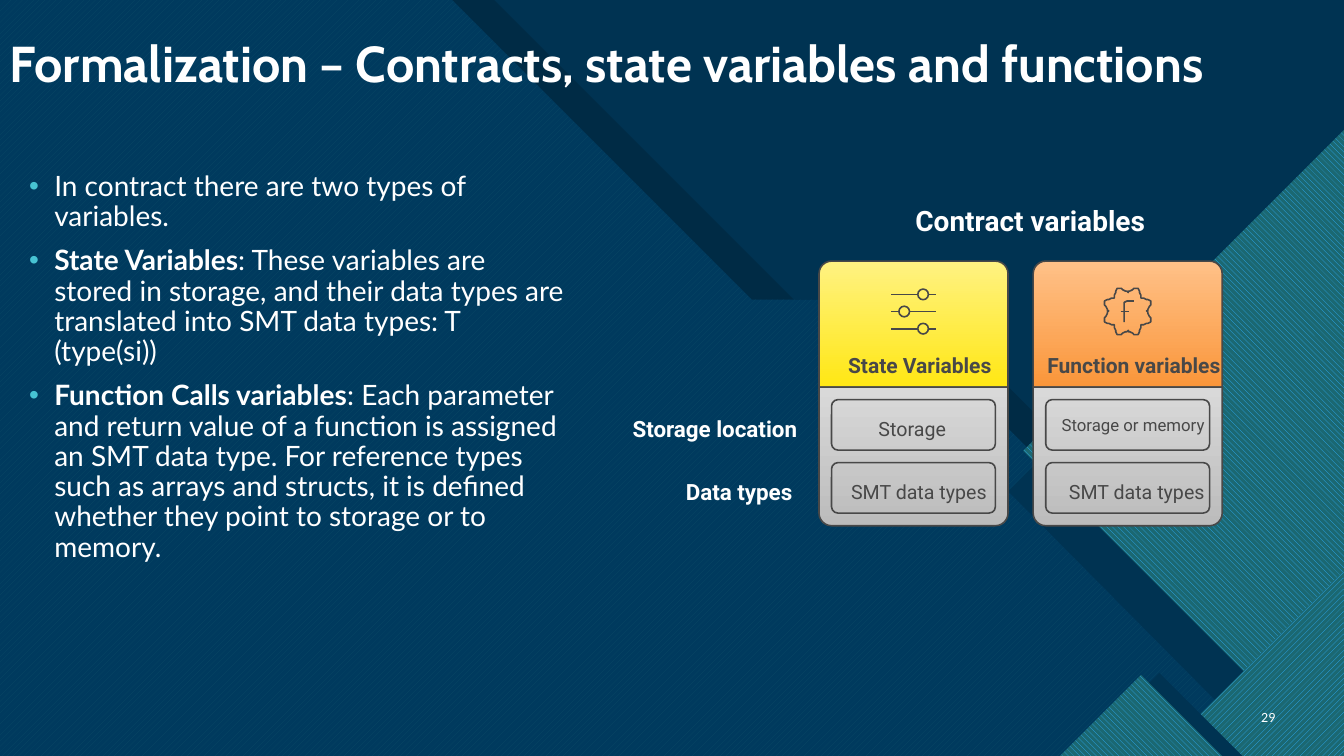
import math

import pptx
import pptx.dml.color
import pptx.enum.dml
import pptx.enum.shapes
import pptx.enum.text
import pptx.oxml
import pptx.oxml.ns
import pptx.util

Pt = pptx.util.Pt
SHAPE = pptx.enum.shapes.MSO_SHAPE
ALIGN = pptx.enum.text.PP_ALIGN
ANCHOR = pptx.enum.text.MSO_ANCHOR
PATTERN = pptx.enum.dml.MSO_PATTERN

NAVY, WHITE, INK, TEAL = "003352", "FFFFFF", "484848", "47C3D3"


def rgb(value):
    return pptx.dml.color.RGBColor.from_string(value)


def add_xml(parent, tag, **attributes):
    child = pptx.oxml.parse_xml(f"<{tag} {pptx.oxml.ns.nsdecls('a')}/>")
    for key, value in attributes.items():
        child.set(key, str(value))
    parent.append(child)
    return child


def paint(shape, fill=None, line=None, pattern=None, alpha=None, gradient=None):
    shape.shadow.inherit = False
    if pattern:
        kind, front, back = pattern
        shape.fill.patterned()
        shape.fill.pattern = kind
        shape.fill.fore_color.rgb = rgb(front)
        shape.fill.back_color.rgb = rgb(back)
    elif gradient:
        shape.fill.gradient()
        shape.fill.gradient_angle = 270
        for stop, color in zip(shape.fill.gradient_stops, gradient):
            stop.color.rgb = rgb(color)
    elif fill:
        shape.fill.solid()
        shape.fill.fore_color.rgb = rgb(fill)
        if alpha:
            color = shape.fill._xPr.find(".//" + pptx.oxml.ns.qn("a:srgbClr"))
            add_xml(color, "a:alpha", val=alpha * 1000)
    else:
        shape.fill.background()
    if line:
        shape.line.color.rgb = rgb(line)
        shape.line.width = Pt(1.12)
    else:
        shape.line.fill.background()


def add_preset(slide, kind, x, y, w, h, adjustments=(), **look):
    shape = slide.shapes.add_shape(kind, Pt(x), Pt(y), Pt(w), Pt(h))
    for index, value in enumerate(adjustments):
        shape.adjustments[index] = value
    paint(shape, **look)


def add_outline(slide, points, closed=True, **look):
    builder = slide.shapes.build_freeform(*points[0], scale=Pt(1))
    builder.add_line_segments(points[1:], close=closed)
    shape = builder.convert_to_shape()
    paint(shape, **look)
    return shape


def add_line(slide, x1, y1, x2, y2):
    line = slide.shapes.add_connector(
        pptx.enum.shapes.MSO_CONNECTOR.STRAIGHT, Pt(x1), Pt(y1), Pt(x2), Pt(y2))
    line.line.color.rgb = rgb(INK)
    line.line.width = Pt(1.12)
    add_xml(line._element.spPr, "a:effectLst")


def turn(points, degrees):
    c, s = math.cos(math.radians(degrees)), math.sin(math.radians(degrees))
    return [(x * c - y * s, x * s + y * c) for x, y in points]


def add_turned(slide, points, degrees, **look):
    flat = turn(points, -degrees)
    middle = tuple((min(axis) + max(axis)) / 2 for axis in zip(*flat))
    center = turn([middle], degrees)[0]
    dx, dy = center[0] - middle[0], center[1] - middle[1]
    shape = add_outline(slide, [(x + dx, y + dy) for x, y in flat], **look)
    shape.rotation = degrees


def add_text(slide, paragraphs, x, y, w, h, size=14, font="Roboto", color=WHITE,
             bold=False, align=ALIGN.LEFT, anchor=ANCHOR.TOP, inset=None,
             wrap=True, spacing=None, before=0, bullet=None):
    frame = slide.shapes.add_textbox(Pt(x), Pt(y), Pt(w), Pt(h)).text_frame
    frame.word_wrap = wrap
    frame.vertical_anchor = anchor
    if inset is not None:
        frame.margin_left = frame.margin_right = Pt(inset)
        frame.margin_top = frame.margin_bottom = Pt(inset)
    for index, runs in enumerate(paragraphs):
        paragraph = frame.add_paragraph() if index else frame.paragraphs[0]
        paragraph.alignment = align
        if spacing:
            paragraph.line_spacing = spacing
        if index:
            paragraph.space_before = Pt(before)
        if bullet:
            properties = paragraph._p.get_or_add_pPr()
            properties.set("marL", str(Pt(18)))
            properties.set("indent", str(-Pt(18)))
            add_xml(add_xml(properties, "a:buClr"), "a:srgbClr", val=bullet)
            add_xml(properties, "a:buFont", typeface="Arial")
            add_xml(properties, "a:buChar", char="•")
        for text, strong in runs:
            run = paragraph.add_run()
            run.text = text
            run.font.size = Pt(size)
            run.font.name = font
            run.font.bold = bold or strong
            run.font.color.rgb = rgb(color)


def add_label(slide, text, x, y, w, **style):
    add_text(slide, [[(text, False)]], x, y, w, 20, inset=0, wrap=False, **style)


def draw_backdrop(slide, w, h):
    slide.background.fill.solid()
    slide.background.fill.fore_color.rgb = rgb(NAVY)

    def band(left, edge, step, corner):
        return [(left, 0), (edge, 0), (edge + 214, 214), (step, 214), *corner, (left, h)]

    stripes = (PATTERN.WIDE_UPWARD_DIAGONAL, TEAL, "0065A4")
    rising = (PATTERN.WIDE_UPWARD_DIAGONAL, "2FAFFF", "1B6872")
    falling = (PATTERN.WIDE_DOWNWARD_DIAGONAL, "2FAFFF", "1B6872")
    pieces = [
        (band(30, 353, 658, [(w, 516), (w, h)]), 270, {"fill": "000000"}),
        (band(0, 323, 628, [(954, h)]), 270, {"pattern": stripes}),
        (band(0, 500, 805, [(w, 369), (w, h)]), 270, {"fill": NAVY, "alpha": 85}),
        ([(w, 112), (w, 510), (878, 510), (720, 351)], 45, {"fill": NAVY}),
        ([(w, 93), (w, 531), (940, 531), (731, 322)], 135, {"pattern": falling}),
        ([(w, 408), (w, h), (828, h)], 135, {"pattern": rising}),
        ([(887, h), (828, 481), (769, h)], 225, {"fill": NAVY}),
        ([(757, h), (815, 482), (873, h)], 135, {"pattern": falling}),
    ]
    for points, degrees, look in pieces:
        add_turned(slide, points, degrees, **look)


def draw_sliders(slide, x, y):
    knob = 7.6
    for row, center in enumerate((22.9, 9.4, 22.9)):
        level = y + 12.25 * row
        add_line(slide, x, level, x + center - knob / 2, level)
        add_line(slide, x + center + knob / 2, level, x + 32.4, level)
        add_preset(slide, SHAPE.OVAL, x + center - knob / 2, level - knob / 2,
                   knob, knob, line=INK)


def draw_function_badge(slide, x, y):
    rim = []
    for step in range(96):
        angle = step * math.tau / 96
        radius = 16 - 2.2 * math.cos(8 * angle)
        rim.append((x + radius * math.cos(angle), y + radius * math.sin(angle)))
    add_outline(slide, rim, line=INK)
    stem = [(4, -7.2), (-0.8, -7.2), (-2.2, -6.6), (-2.8, -5), (-2.8, 8)]
    add_outline(slide, [(x + dx, y + dy) for dx, dy in stem], closed=False, line=INK)
    add_line(slide, x - 5, y, x + 1, y)


def draw_card(slide, x, y, w, colors, heading, entries):
    head, body, radius = 90, 99, 9
    add_preset(slide, SHAPE.ROUND_2_SAME_RECTANGLE, x, y, w, head,
               (radius / head, 0), gradient=colors, line=INK)
    add_preset(slide, SHAPE.ROUND_2_SAME_RECTANGLE, x, y + head, w, body,
               (0, radius / body), gradient=("D9D9D9", "BCBCBC"), line=INK)
    add_label(slide, heading, x + 9, y + 65, 126, size=15, bold=True,
              color=INK, align=ALIGN.CENTER)
    for row, (text, size, center, top) in enumerate(entries):
        add_preset(slide, SHAPE.ROUNDED_RECTANGLE, x + 9, y + head + 9 + 45 * row,
                   w - 18, 36, (0.125,), line=INK)
        add_label(slide, text, x + center - 52, y + top, 104, size=size,
                  color=INK, align=ALIGN.CENTER)


def draw_contract_variables(slide, x, y):
    add_label(slide, "Contract variables", x + 203, y, 166, size=20, bold=True,
              align=ALIGN.CENTER)
    cards_top = y + 41
    for text, right, top in (("Storage location", 119.5, 110), ("Data types", 116, 155)):
        add_label(slide, text, x + right - 120, cards_top + top, 120, size=16,
                  bold=True, align=ALIGN.RIGHT)
    state, function = x + 135, x + 288
    draw_card(slide, state, cards_top, 135, ("FFF282", "FFE714"), "State Variables",
              [("Storage", 14, 66.6, 111), ("SMT data types", 14, 71.4, 156)])
    draw_card(slide, function, cards_top, 135, ("FFC188", "FA963A"), "Function variables",
              [("Storage or memory", 12, 71.4, 110), ("SMT data types", 14, 74, 156)])
    draw_sliders(slide, state + 51.5, cards_top + 23.8)
    draw_function_badge(slide, function + 67.5, cards_top + 36)


def draw_explanation(slide, x, y, w, h):
    points = [
        [("In contract there are two types of variables.", False)],
        [("State Variables", True),
         (": These variables are stored in storage, and their data types are "
          "translated into SMT data types: T (type(si))", False)],
        [("Function Calls variables", True),
         (": Each parameter and return value of a function is assigned an SMT data "
          "type. For reference types such as arrays and structs, it is defined "
          "whether they point to storage or to memory.", False)],
    ]
    add_text(slide, points, x, y, w, h, size=20, font="Lato", spacing=0.9,
             before=10, bullet=TEAL)


def main():
    deck = pptx.Presentation()
    deck.slide_width, deck.slide_height = Pt(960), Pt(540)
    slide = deck.slides.add_slide(deck.slide_layouts[6])
    draw_backdrop(slide, 960, 540)
    add_text(slide, [[("Formalization – Contracts, state variables and functions", True)]],
             0, 2, 950, 68, size=36, font="Cabin", spacing=0.9, anchor=ANCHOR.BOTTOM)
    draw_explanation(slide, 13.7, 119.5, 397.5, 109.5)
    draw_contract_variables(slide, 450, 145.5)
    add_text(slide, [[("29", False)]], 886, 497.5, 32, 29, size=10, font="Calibri",
             align=ALIGN.RIGHT, anchor=ANCHOR.MIDDLE)
    deck.save("out.pptx")


if __name__ == "__main__":
    main()
